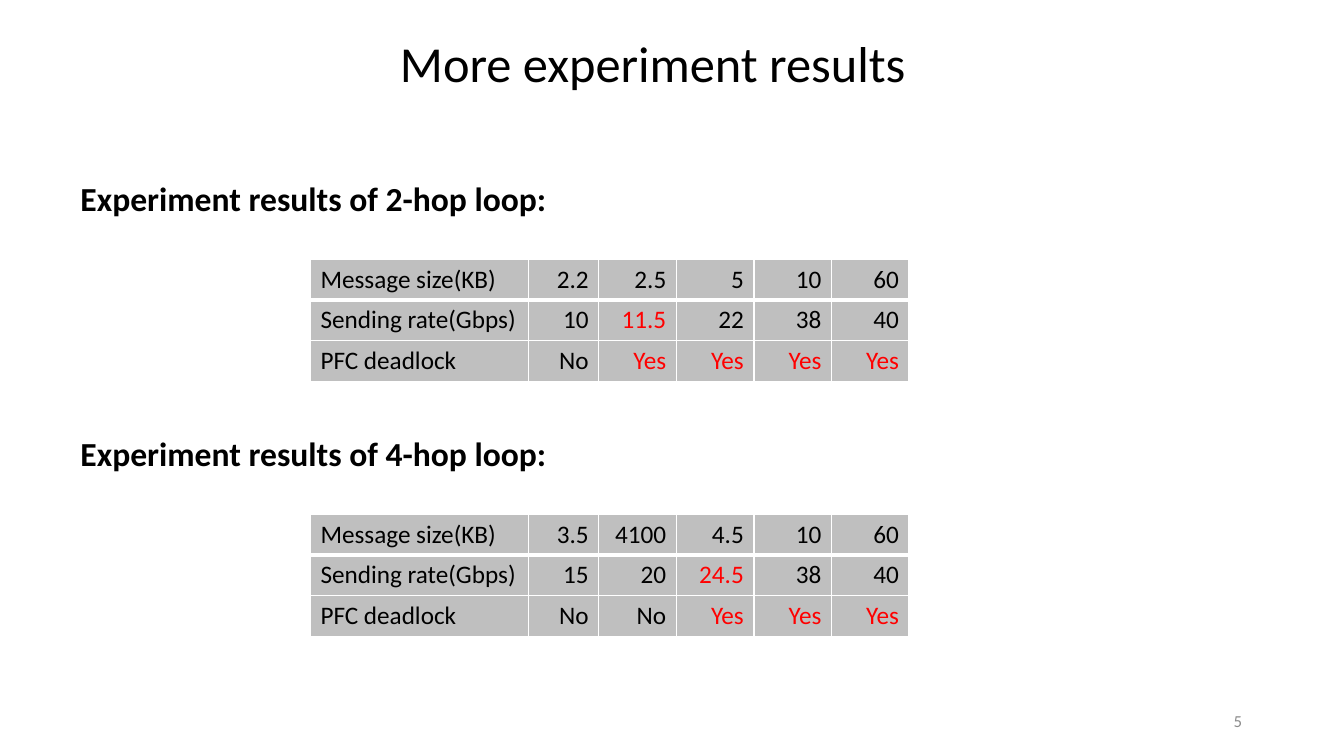
from lxml import etree
from pptx import Presentation
from pptx import util as u
from pptx.dml.color import RGBColor
from pptx.enum import text
from pptx.oxml import ns

BLACK = RGBColor(0x00, 0x00, 0x00)
RED = RGBColor(0xFF, 0x00, 0x00)
WHITE = RGBColor(0xFF, 0xFF, 0xFF)
CELL_GRAY = RGBColor(0xBF, 0xBF, 0xBF)
NUMBER_GRAY = RGBColor(0x8C, 0x8C, 0x8C)

GRID = u.Inches(0.1)
SLIDE_COLUMNS, SLIDE_ROWS = 133.33, 75
TABLE_LEFT, TABLE_DROP = 30.8, 8.5
COLUMN_WIDTHS = [21.6, 7] + [7.7] * 4
ROW_HEIGHT = 4.05
HEADING_LEFT, FIRST_HEADING_TOP, SECTION_PITCH = 7, 17.2, 25.3

TITLE_FORMAT = {"size": u.Pt(36), "bold": False}
HEADING_FORMAT = {"size": u.Pt(24), "bold": True}
CELL_FORMAT = {"size": u.Pt(18), "bold": False}
NUMBER_FORMAT = {"size": u.Pt(12), "bold": False}

ROW_LABELS = ["Message size(KB)", "Sending rate(Gbps)", "PFC deadlock"]
SECTIONS = [
    ("Experiment results of 2-hop loop:", [
        ["2.2", "2.5", "5", "10", "60"],
        ["10", "11.5", "22", "38", "40"],
        ["No", "Yes", "Yes", "Yes", "Yes"],
    ]),
    ("Experiment results of 4-hop loop:", [
        ["3.5", "4100", "4.5", "10", "60"],
        ["15", "20", "24.5", "38", "40"],
        ["No", "No", "Yes", "Yes", "Yes"],
    ]),
]


def units(*counts):
    return [u.Emu(round(count * GRID)) for count in counts]


def write(paragraph, words, format_values, color=BLACK, alignment=text.PP_ALIGN.LEFT):
    paragraph.text = words
    paragraph.alignment = alignment
    font = paragraph.runs[0].font
    for name, value in {"name": "Calibri", **format_values}.items():
        setattr(font, name, value)
    font.color.rgb = color


def add_text(slide, box, words, format_values, wrap=False, anchor=text.MSO_ANCHOR.TOP, **style):
    frame = slide.shapes.add_textbox(*units(*box)).text_frame
    frame.word_wrap = wrap
    frame.vertical_anchor = anchor
    if not wrap:
        frame.auto_size = text.MSO_AUTO_SIZE.SHAPE_TO_FIT_TEXT
    write(frame.paragraphs[0], words, format_values, **style)


def add_borders(cell, widths):
    properties = cell._tc.get_or_add_tcPr()
    for side, width in zip("LRTB", widths):
        line = etree.SubElement(properties, ns.qn(f"a:ln{side}"), w=str(u.Pt(width)))
        fill = etree.SubElement(line, ns.qn("a:solidFill"))
        etree.SubElement(fill, ns.qn("a:srgbClr"), val=str(WHITE))


def add_results_table(slide, top, values):
    rows = [[label, *numbers] for label, numbers in zip(ROW_LABELS, values)]
    first_deadlock = rows[2].index("Yes")
    box = units(TABLE_LEFT, top, sum(COLUMN_WIDTHS), ROW_HEIGHT * len(rows))
    table = slide.shapes.add_table(len(rows), len(COLUMN_WIDTHS), *box).table
    for column, width in zip(table.columns, units(*COLUMN_WIDTHS)):
        column.width = width
    for row_index, row in enumerate(rows):
        table.rows[row_index].height = units(ROW_HEIGHT)[0]
        for column_index, words in enumerate(row):
            cell = table.cell(row_index, column_index)
            add_borders(cell, (1, 1, 3 if row_index == 1 else 1, 3 if row_index == 0 else 1))
            cell.fill.solid()
            cell.fill.fore_color.rgb = CELL_GRAY
            is_threshold = row_index == 1 and column_index == first_deadlock
            color = RED if words == "Yes" or is_threshold else BLACK
            alignment = text.PP_ALIGN.RIGHT if column_index else text.PP_ALIGN.LEFT
            write(cell.text_frame.paragraphs[0], words, CELL_FORMAT, color, alignment)


def main():
    presentation = Presentation()
    presentation.slide_width, presentation.slide_height = units(SLIDE_COLUMNS, SLIDE_ROWS)
    slide = presentation.slides.add_slide(presentation.slide_layouts[6])
    add_text(slide, (38.7, 2.7, 52.6, 7.1), "More experiment results", TITLE_FORMAT)
    for index, (heading, values) in enumerate(SECTIONS):
        top = FIRST_HEADING_TOP + index * SECTION_PITCH
        add_text(slide, (HEADING_LEFT, top, 49, 5), heading, HEADING_FORMAT)
        add_results_table(slide, top + TABLE_DROP, values)
    add_text(slide, (94.2, 69.5, 30, 4), "5", NUMBER_FORMAT, wrap=True,
             anchor=text.MSO_ANCHOR.MIDDLE, color=NUMBER_GRAY, alignment=text.PP_ALIGN.RIGHT)
    presentation.save("out.pptx")


if __name__ == "__main__":
    main()
